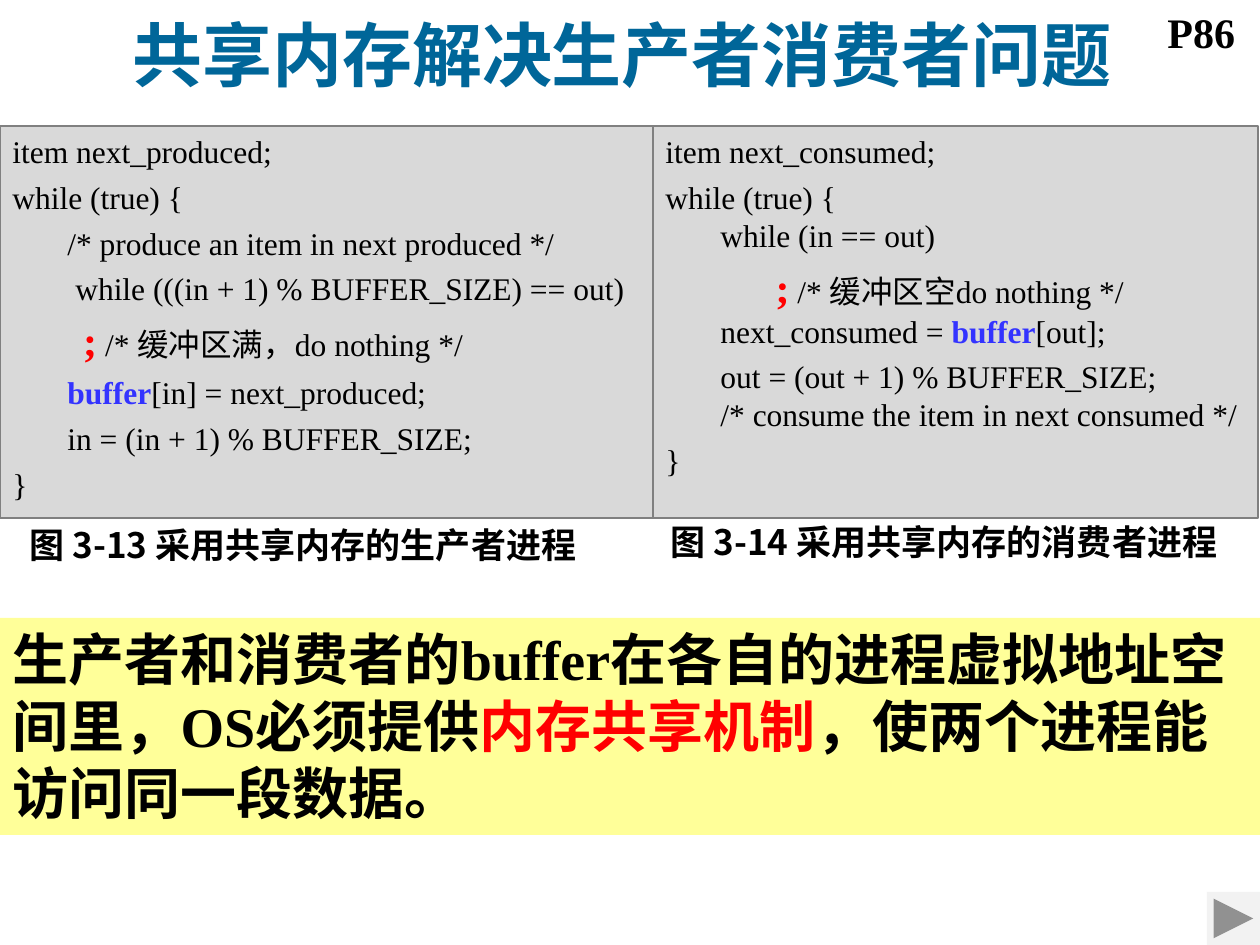
from typing import NamedTuple

import pptx
import pptx.dml.color
import pptx.enum.shapes
import pptx.enum.text
import pptx.util

SCALE = 914400 / 126
SERIF = "Times New Roman"
SANS = "Noto Sans CJK SC"
BLACK, RED, BLUE = "000000", "FF0000", "3333FF"
SHAPE = pptx.enum.shapes.MSO_SHAPE
ALIGN = pptx.enum.text.PP_ALIGN
ANCHOR = pptx.enum.text.MSO_ANCHOR


class Box(NamedTuple):
    left: int
    top: int
    width: int
    height: int


class Span(NamedTuple):
    text: str
    color: str | None = None
    bold: bool | None = None
    size: int | None = None
    font: str | None = None


class Style(NamedTuple):
    size: int
    font: str = SERIF
    color: str = BLACK
    bold: bool = True
    align: int = ALIGN.LEFT
    anchor: int = ANCHOR.TOP
    space: float = 0


class Listing(NamedTuple):
    box: Box
    lines: list


class Label(NamedTuple):
    box: Box
    text: str
    style: Style


def px(n: int) -> int:
    return round(n * SCALE)


def rgb(color: str):
    return pptx.dml.color.RGBColor.from_string(color)


def set_font(font, size, name, color, bold) -> None:
    if size:
        font.size = pptx.util.Pt(size)
    if name:
        font.name = name
    if color:
        font.color.rgb = rgb(color)
    if bold is not None:
        font.bold = bold


def write(sp, paragraphs: list, style: Style) -> None:
    tf = sp.text_frame
    tf.word_wrap = True
    tf.vertical_anchor = style.anchor
    for i, spans in enumerate(paragraphs):
        p = tf.add_paragraph() if i else tf.paragraphs[0]
        p.alignment = style.align
        if i and style.space:
            p.space_before = pptx.util.Pt(style.space)
        set_font(p.font, style.size, style.font, style.color, style.bold)
        for span in [Span(spans)] if isinstance(spans, str) else spans:
            for j, text in enumerate(span.text.split("\n")):
                if j:
                    p.add_line_break()
                r = p.add_run()
                r.text = text
                set_font(r.font, span.size, span.font, span.color, span.bold)


def add_shape(s, kind: int, box: Box, fill: str, line: str | None = None):
    sp = s.shapes.add_shape(kind, *map(px, box))
    sp.shadow.inherit = False
    sp.fill.solid()
    sp.fill.fore_color.rgb = rgb(fill)
    if line:
        sp.line.color.rgb = rgb(line)
        sp.line.width = pptx.util.Pt(0.75)
    else:
        sp.line.fill.background()
    return sp


def add_listing(s, listing: Listing) -> None:
    sp = add_shape(s, SHAPE.RECTANGLE, listing.box, "D9D9D9", "808080")
    write(sp, listing.lines, Style(18, bold=False, space=4.5))


def add_label(s, label: Label) -> None:
    write(s.shapes.add_textbox(*map(px, label.box)), [label.text], label.style)


SEMICOLON = Span(";", RED, True, 24)
BUFFER = Span("buffer", BLUE, True)
CAPTION = Style(20, SANS, align=ALIGN.CENTER)

LISTINGS = [
    Listing(Box(0, 126, 655, 392), [
        "item next_produced;",
        "while (true) {",
        "       /* produce an item in next produced */",
        "        while (((in + 1) % BUFFER_SIZE) == out)",
        [Span("\t "), SEMICOLON, Span(" /* 缓冲区满，do nothing */")],
        [Span("       "), BUFFER, Span("[in] = next_produced;")],
        "       in = (in + 1) % BUFFER_SIZE;",
        "}",
    ]),
    Listing(Box(653, 126, 605, 392), [
        "item next_consumed;",
        "while (true) {\n       while (in == out)",
        [Span("              "), SEMICOLON,
         Span(" /* 缓冲区空do nothing */\n       next_consumed = "),
         BUFFER, Span("[out];")],
        "       out = (out + 1) % BUFFER_SIZE;\n"
        "       /* consume the item in next consumed */",
        "}",
    ]),
]

LABELS = [
    Label(Box(0, 517, 606, 55), "图 3-13 采用共享内存的生产者进程", CAPTION),
    Label(Box(636, 514, 616, 55), "图 3-14 采用共享内存的消费者进程", CAPTION),
    Label(Box(1155, 0, 105, 63), "P86", Style(24)),
    Label(Box(-8, 0, 1260, 106), "共享内存解决生产者消费者问题",
          Style(40, color="006699", align=ALIGN.CENTER, anchor=ANCHOR.MIDDLE)),
]

CONCLUSION = [
    Span("生产者和消费者的"),
    Span("buffer", font=SERIF),
    Span("在各自的进程虚拟地址空间里，"),
    Span("OS", font=SERIF),
    Span("必须提供"),
    Span("内存共享机制", RED),
    Span("，使两个进程能访问同一段数据。"),
]


def main() -> None:
    prs = pptx.Presentation()
    prs.slide_width, prs.slide_height = px(1260), px(945)
    s = prs.slides.add_slide(prs.slide_layouts[6])
    for listing in LISTINGS:
        add_listing(s, listing)
    for label in LABELS:
        add_label(s, label)
    sp = add_shape(s, SHAPE.RECTANGLE, Box(0, 618, 1260, 217), "FFFF99")
    write(sp, [CONCLUSION], Style(32, SANS))
    add_shape(s, SHAPE.ACTION_BUTTON_FORWARD_OR_NEXT, Box(1207, 892, 53, 53), "F2F2F2")
    prs.save("out.pptx")


if __name__ == "__main__":
    main()
